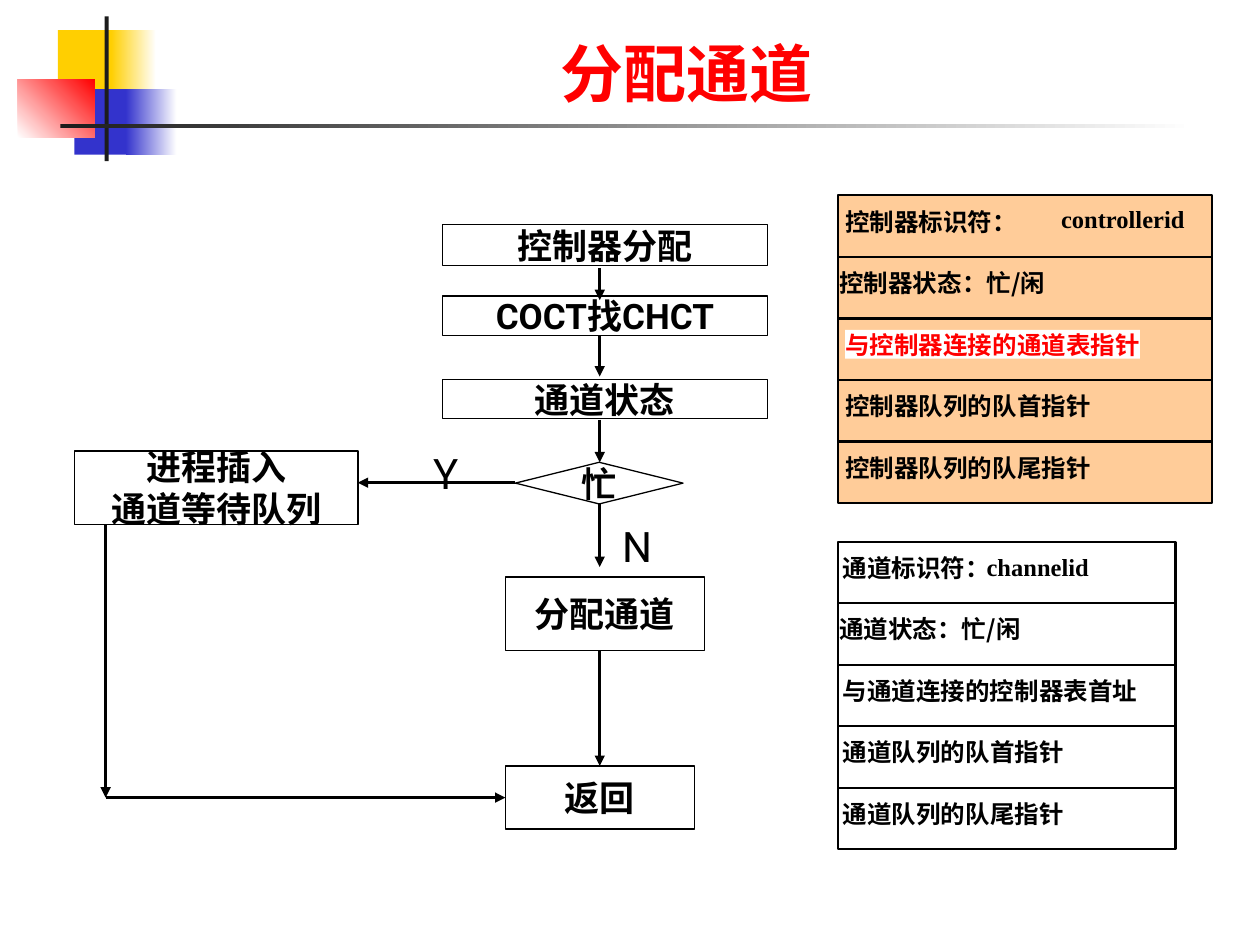
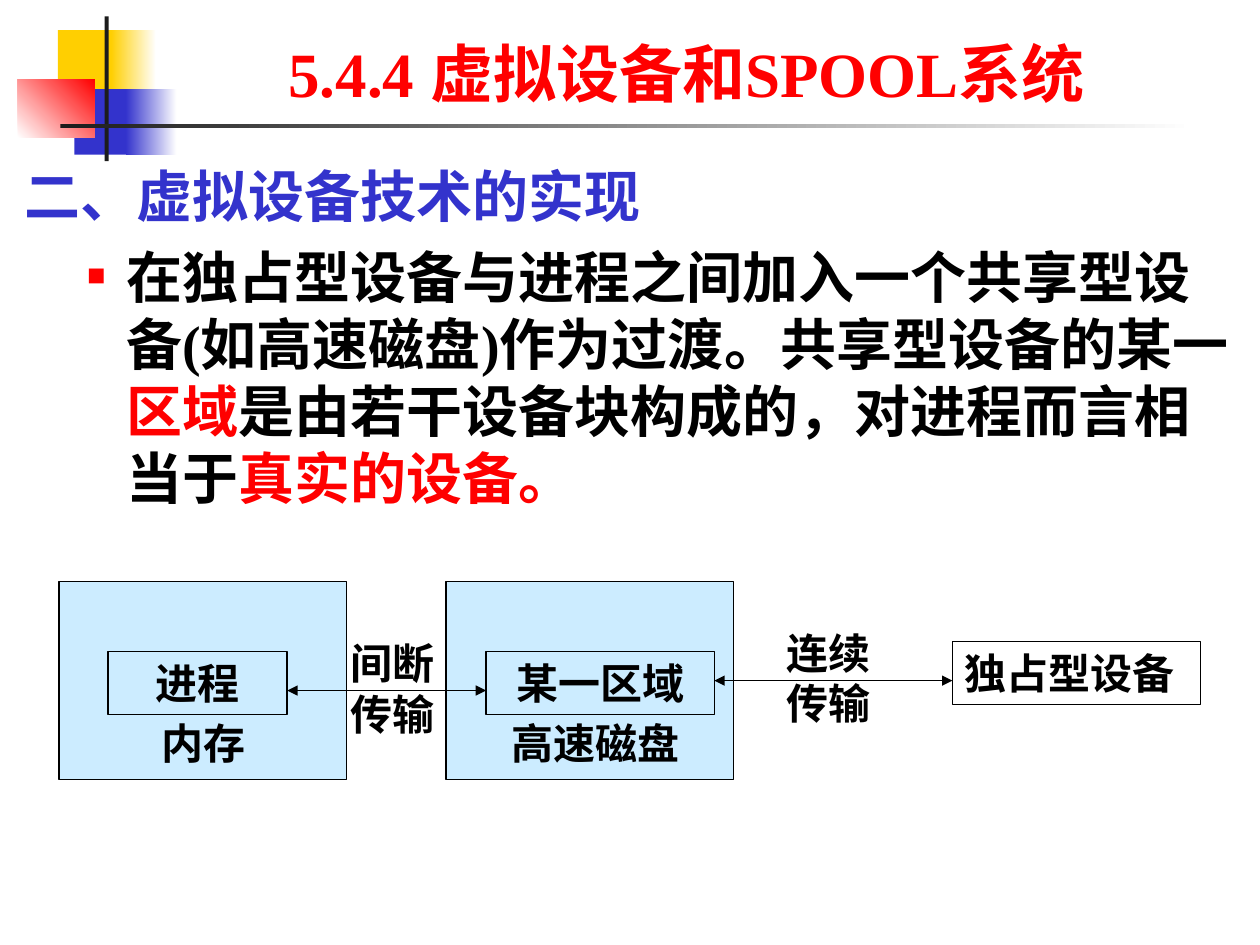
from dataclasses import dataclass

from lxml.etree import SubElement
from pptx import Presentation
from pptx.dml.color import RGBColor
from pptx.enum.shapes import MSO_CONNECTOR, MSO_SHAPE
from pptx.enum.text import MSO_ANCHOR, MSO_AUTO_SIZE, PP_ALIGN
from pptx.oxml.ns import qn
from pptx.util import Cm, Pt


@dataclass(frozen=True)
class Theme:
    """Colours, fonts and type sizes of the presentation."""

    black: str = "000000"
    white: str = "FFFFFF"
    red: str = "FF0000"
    blue: str = "3333CC"
    yellow: str = "FFCF01"
    rule: str = "1C1C1C"
    peach: str = "FFCC99"
    sky: str = "CCECFF"
    serif: str = "Times New Roman"
    sans: str = "Roboto"
    chinese: str = "Noto Sans CJK SC"
    title_size: int = 36
    body_size: int = 32
    spool_size: int = 24
    flow_size: int = 20
    record_size: int = 14
    line_height: float = 1.2


THEME = Theme()


def lengths(*values):
    """Turn centimetre numbers into lengths."""
    return [Cm(value) for value in values]


def write_text(paragraph, text, *, size, color=THEME.black, font=THEME.chinese,
               bold=True, align=None, space_before=0):
    """Append a formatted run to a paragraph."""
    if align is not None:
        paragraph.alignment = align
    paragraph.space_before = Pt(space_before)
    paragraph.line_spacing = Pt(round(size * THEME.line_height, 1))
    run = paragraph.add_run()
    run.text = text
    run.font.size = Pt(size)
    run.font.bold = bold
    run.font.name = font
    run.font.color.rgb = RGBColor.from_string(color)
    east_asian = SubElement(run._r.get_or_add_rPr(), qn("a:ea"))
    east_asian.set("typeface", THEME.chinese)


def fill_frame(shape, text, *, wrap=True, margin=None, **text_format):
    """Write each line of text as a paragraph of the shape."""
    frame = shape.text_frame
    frame.word_wrap = wrap
    if margin is not None:
        frame.margin_left = frame.margin_right = Cm(margin)
        frame.margin_top = frame.margin_bottom = Cm(margin)
    for index, line in enumerate(text.split("\n")):
        paragraph = frame.add_paragraph() if index else frame.paragraphs[0]
        write_text(paragraph, line, **text_format)


def add_box(slide, box, *, kind=MSO_SHAPE.RECTANGLE, fill=None, line=None):
    """Draw a preset shape with an optional fill and black outline."""
    shape = slide.shapes.add_shape(kind, *lengths(*box))
    shape.shadow.inherit = False
    if fill:
        shape.fill.solid()
        shape.fill.fore_color.rgb = RGBColor.from_string(fill)
    else:
        shape.fill.background()
    if line:
        shape.line.width = Pt(line)
        shape.line.color.rgb = RGBColor.from_string(THEME.black)
    else:
        shape.line.fill.background()
    return shape


def add_gradient_box(slide, box, start, end, angle=0):
    """Draw a rectangle that fades from one colour to another."""
    shape = add_box(slide, box)
    shape.fill.gradient()
    shape.fill.gradient_angle = angle
    for stop, color in zip(shape.fill.gradient_stops, (start, end)):
        stop.color.rgb = RGBColor.from_string(color)
    return shape


def add_label(slide, box, text, **text_format):
    """Add a text box."""
    fill_frame(slide.shapes.add_textbox(*lengths(*box)), text, **text_format)


def add_arrow(slide, start, end, *, width, both_ends=False):
    """Draw a straight arrow with one or two heads."""
    arrow = slide.shapes.add_connector(
        MSO_CONNECTOR.STRAIGHT, *lengths(*start, *end))
    arrow.line.width = Pt(width)
    arrow.line.color.rgb = RGBColor.from_string(THEME.black)
    properties = arrow.element.spPr
    line = properties.find(qn("a:ln"))
    for tag in ("a:headEnd", "a:tailEnd") if both_ends else ("a:tailEnd",):
        SubElement(line, qn(tag)).set("type", "triangle")
    SubElement(properties, qn("a:effectLst"))


def decorate_master(presentation, slide):
    """Build the corner motif and title rule, then move them to the master."""
    motif = [
        add_box(slide, (1.17, 0.61, 1.22, 1.32), fill=THEME.yellow),
        add_gradient_box(slide, (2.24, 0.61, 0.91, 1.32),
                         THEME.yellow, THEME.white),
        add_box(slide, (1.5, 1.8, 1.17, 1.32), fill=THEME.blue),
        add_gradient_box(slide, (2.54, 1.8, 1.02, 1.32),
                         THEME.blue, THEME.white),
        add_gradient_box(slide, (0.36, 1.6, 1.55, 1.17),
                         THEME.white, THEME.red, angle=45),
        add_box(slide, (2.11, 0.33, 0.08, 2.92), fill=THEME.rule),
        add_gradient_box(slide, (1.22, 2.51, 22.86, 0.08),
                         THEME.rule, THEME.white),
    ]
    master_tree = presentation.slide_master.shapes.element
    for index, shape in enumerate(motif):
        shape.element.nvSpPr.cNvPr.id = 100 + index
        master_tree.insert(2 + index, shape.element)


def place(placeholder, box, anchor):
    """Move a placeholder and fix its text size and anchor."""
    (placeholder.left, placeholder.top,
     placeholder.width, placeholder.height) = lengths(*box)
    placeholder.text_frame.auto_size = MSO_AUTO_SIZE.NONE
    placeholder.text_frame.vertical_anchor = anchor


def set_title(slide, text):
    """Format and fill the title placeholder."""
    title = slide.shapes.title
    place(title, (4.01, 0.33, 19.66, 2.01), MSO_ANCHOR.BOTTOM)
    fill_frame(title, text, size=THEME.title_size, color=THEME.red,
               font=THEME.serif, align=PP_ALIGN.CENTER)


def set_bullet(paragraph, margin, indent, character=None):
    """Set the indents and the bullet of a paragraph."""
    properties = paragraph._p.get_or_add_pPr()
    properties.set("marL", str(Cm(margin)))
    properties.set("indent", str(Cm(indent)))
    if character is None:
        SubElement(properties, qn("a:buNone"))
        return
    color = SubElement(properties, qn("a:buClr"))
    SubElement(color, qn("a:srgbClr")).set("val", THEME.red)
    SubElement(properties, qn("a:buSzPct")).set("val", "33000")
    SubElement(properties, qn("a:buFont")).set("typeface", THEME.chinese)
    SubElement(properties, qn("a:buChar")).set("char", character)


def add_flowchart(slide):
    """Draw the channel allocation flowchart."""
    process, decision = (MSO_SHAPE.FLOWCHART_PROCESS,
                         MSO_SHAPE.FLOWCHART_DECISION)
    steps = [
        ("控制器分配", process, (8.92, 4.52, 6.55, 0.84)),
        ("COCT找CHCT", process, (8.92, 5.97, 6.55, 0.79)),
        ("通道状态", process, (8.92, 7.65, 6.55, 0.79)),
        ("忙", decision, (10.39, 9.32, 3.38, 0.84)),
        ("进程插入\n通道等待队列", process, (1.5, 9.09, 5.72, 1.49)),
        ("分配通道", process, (10.19, 11.63, 4.01, 1.49)),
        ("返回", process, (10.19, 15.44, 3.81, 1.27)),
    ]
    for text, kind, box in steps:
        shape = add_box(slide, box, kind=kind, fill=THEME.white, line=0.75)
        fill_frame(shape, text, wrap=False, size=THEME.flow_size,
                   font=THEME.sans, align=PP_ALIGN.CENTER)

    axis, wait_x, busy_y, return_y = 12.09, 2.13, 9.73, 16.08
    downward = [(5.41, 6.05), (6.76, 7.59), (8.46, 9.32),
                (10.16, 11.43), (13.13, 15.44)]
    routes = [((axis, top), (axis, bottom)) for top, bottom in downward]
    routes += [
        ((10.39, busy_y), (7.21, busy_y)),
        ((wait_x, 10.59), (wait_x, return_y)),
        ((wait_x, return_y), (10.19, return_y)),
    ]
    for start, end in routes:
        add_arrow(slide, start, end, width=1.5)

    for text, box in (("Y", (8.48, 8.89, 2.11, 1.27)),
                      ("N", (12.29, 10.36, 2.54, 1.27))):
        add_label(slide, box, text, size=THEME.spool_size,
                  font=THEME.sans, bold=False)


def add_record(slide, fields, identifier, identifier_box, *, top, width, fill,
               inset, highlighted=None):
    """Draw a control table as stacked rows, with its identifier name."""
    left, row_height, character_width = 16.89, 1.24, 0.495
    for index, field in enumerate(fields):
        row_top = top + index * row_height
        add_box(slide, (left, row_top, width, row_height),
                fill=fill, line=1.25)
        marked = field == highlighted
        offset = 0.03 if "状态" in field else inset
        label = add_box(slide, (left + offset, row_top + 0.23,
                                len(field) * character_width, 0.58),
                        fill=THEME.white if marked else fill)
        fill_frame(label, field, wrap=False, margin=0, align=PP_ALIGN.LEFT,
                   size=THEME.record_size,
                   color=THEME.red if marked else THEME.black)
    add_label(slide, identifier_box, identifier, wrap=False, margin=0,
              size=THEME.record_size, font=THEME.serif)


def build_channel_slide(slide):
    """Build the slide on allocating a channel."""
    set_title(slide, "分配通道")
    add_flowchart(slide)
    channel_pointer = "与控制器连接的通道表指针"
    add_record(
        slide,
        ["通道标识符：", "通道状态：忙/闲", "与通道连接的控制器表首址",
         "通道队列的队首指针", "通道队列的队尾指针"],
        "channelid", (19.89, 11.13, 2.6, 0.58),
        top=10.92, width=6.81, fill=THEME.white, inset=0.1)
    add_record(
        slide,
        ["控制器标识符：", "控制器状态：忙/闲", channel_pointer,
         "控制器队列的队首指针", "控制器队列的队尾指针"],
        "controllerid", (21.39, 4.11, 2.8, 0.58),
        top=3.94, width=7.54, fill=THEME.peach, inset=0.15,
        highlighted=channel_pointer)


def add_spool_diagram(slide):
    """Draw the transfer between memory, disk and exclusive device."""
    for left in (1.19, 8.99):
        add_box(slide, (left, 11.73, 5.8, 3.99), fill=THEME.sky, line=0.75)
    for text, box, align in (
            ("进程", (2.18, 13.13, 3.61, 1.27), PP_ALIGN.CENTER),
            ("某一区域", (9.8, 13.13, 4.6, 1.27), PP_ALIGN.CENTER),
            ("独占型设备", (19.2, 12.93, 5, 1.27), PP_ALIGN.LEFT)):
        fill_frame(add_box(slide, box, line=0.75), text,
                   size=THEME.spool_size, align=align)
    for left, right, height in ((5.79, 9.8, 13.92), (14.4, 19.2, 13.72)):
        add_arrow(slide, (left, height), (right, height),
                  width=0.75, both_ends=True)
    for text, box, align in (
            ("内存", (3, 14.33, 3.61, 1.27), PP_ALIGN.LEFT),
            ("高速磁盘", (9.6, 14.33, 4.8, 1.27), PP_ALIGN.CENTER),
            ("连续传输", (15.6, 12.52, 2.59, 2.29), PP_ALIGN.LEFT),
            ("间断传输", (6.81, 12.73, 2.59, 2.29), PP_ALIGN.LEFT)):
        add_label(slide, box, text, size=THEME.spool_size, align=align)


def build_spool_slide(slide):
    """Build the slide on virtual devices and SPOOL."""
    set_title(slide, "5.4.4 虚拟设备和SPOOL系统")
    body = slide.placeholders[1]
    place(body, (0.23, 3.12, 24.87, 13.92), MSO_ANCHOR.TOP)
    heading = body.text_frame.paragraphs[0]
    set_bullet(heading, 0.97, -0.97)
    write_text(heading, "二、虚拟设备技术的实现", size=THEME.body_size,
               color=THEME.blue, font=THEME.serif)
    explanation = body.text_frame.add_paragraph()
    explanation.level = 1
    set_bullet(explanation, 2.06, -0.79, "■")
    for text, color in (
            ("在独占型设备与进程之间加入一个共享型设备(如高速磁盘)作为过渡。"
             "共享型设备的某一", THEME.black),
            ("区域", THEME.red),
            ("是由若干设备块构成的，对进程而言相当于", THEME.black),
            ("真实的设备。", THEME.red)):
        write_text(explanation, text, size=THEME.body_size, color=color,
                   font=THEME.serif, space_before=8)
    add_spool_diagram(slide)


def main():
    """Build and save the presentation."""
    presentation = Presentation()
    presentation.slide_width, presentation.slide_height = lengths(25.4, 19.05)
    layouts = presentation.slide_layouts
    channel_slide = presentation.slides.add_slide(layouts[5])
    spool_slide = presentation.slides.add_slide(layouts[1])
    decorate_master(presentation, channel_slide)
    build_channel_slide(channel_slide)
    build_spool_slide(spool_slide)
    presentation.save("out.pptx")


if __name__ == "__main__":
    main()
